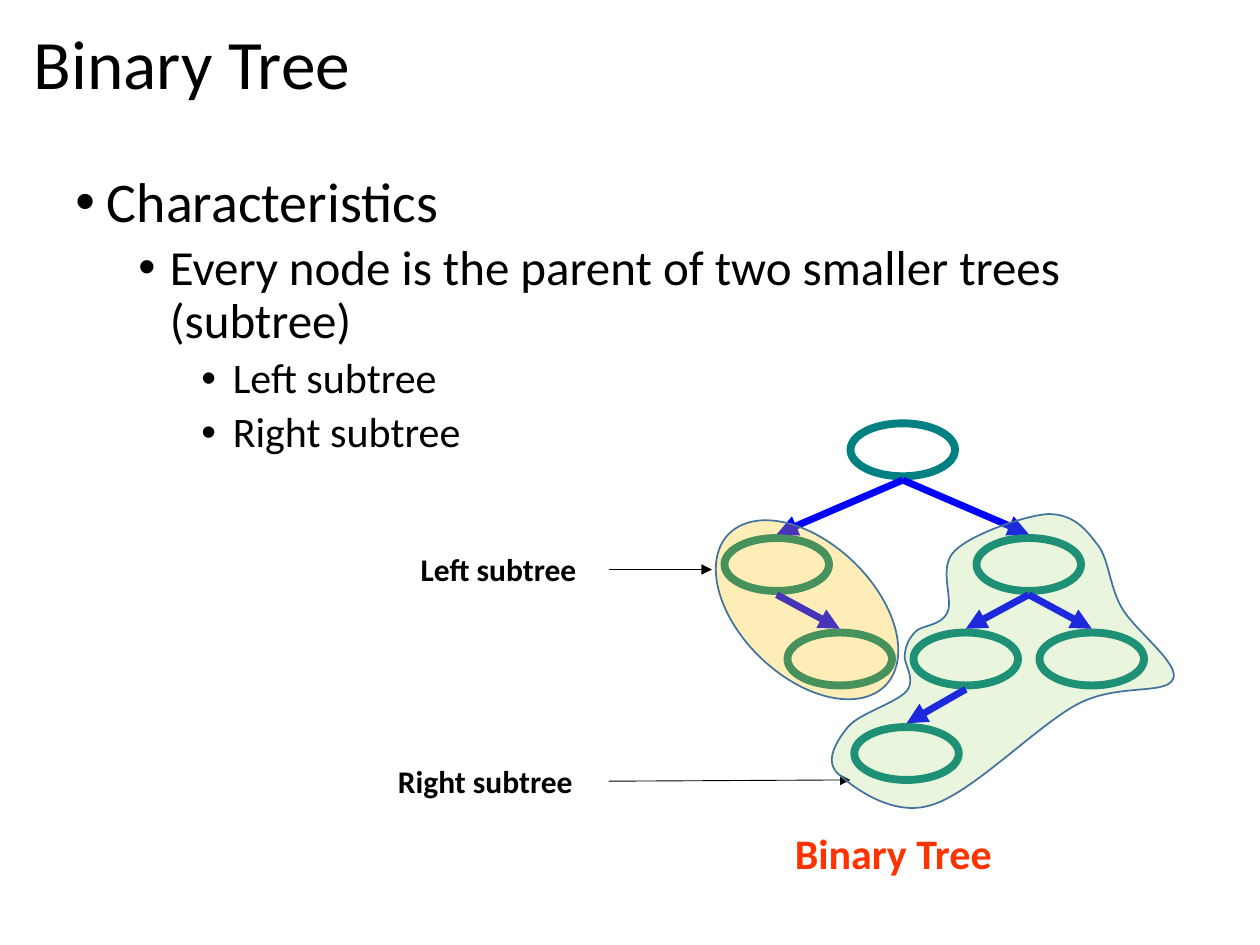
from dataclasses import dataclass
from typing import Any, Optional

import pptx
import pptx.dml.color
import pptx.enum.shapes
import pptx.enum.text
import pptx.oxml.ns
import pptx.util
from lxml import etree
from pptx.util import Inches

FONT = "Calibri"
BLACK, TEAL, BLUE, OUTLINE = "000000", "008080", "0000FF", "43739E"
NODE_WIDTH, NODE_HEIGHT = 0.83, 0.42

Point = tuple[float, float]
Box = tuple[float, float, float, float]


@dataclass(frozen=True)
class Node:
    left: float
    top: float
    parent: Optional[str] = None

    @property
    def center(self) -> float:
        return self.left + NODE_WIDTH / 2


@dataclass(frozen=True)
class Bullet:
    text: str
    level: int
    size: int
    space_before: int


@dataclass(frozen=True)
class Label:
    text: str
    box: Box
    size: float
    color: str = BLACK
    bold: bool = True
    wrap: bool = True
    line_spacing: Optional[float] = None
    anchor: Any = pptx.enum.text.MSO_ANCHOR.TOP
    auto_size: Any = pptx.enum.text.MSO_AUTO_SIZE.SHAPE_TO_FIT_TEXT


NODES = {
    "root": Node(6.75, 3.36),
    "left": Node(5.75, 4.27, "root"),
    "right": Node(7.75, 4.27, "root"),
    "left right": Node(6.25, 5.02, "left"),
    "right right": Node(8.25, 5.02, "right"),
    "right left": Node(7.25, 5.02, "right"),
    "right left left": Node(6.78, 5.77, "right left"),
}

BULLETS = [
    Bullet("Characteristics", 0, 32, 0),
    Bullet("Every node is the parent of two smaller trees (subtree)", 1, 28, 5),
    Bullet("Left subtree", 2, 24, 5),
    Bullet("Right subtree", 2, 24, 5),
]

TITLE = Label("Binary Tree", (0.17, 0.16, 9.62, 0.74), 39.6, bold=False,
              line_spacing=0.9, anchor=pptx.enum.text.MSO_ANCHOR.MIDDLE,
              auto_size=pptx.enum.text.MSO_AUTO_SIZE.NONE)
CAPTION = Label("Binary Tree", (6.21, 6.52, 2.04, 0.5), 24, color="FF3300", wrap=False)
SUBTREE_LABELS = [
    Label("Left subtree", (3.24, 4.32, 1.59, 0.4), 18),
    Label("Right subtree", (3.06, 6, 1.78, 0.4), 18),
]
LABEL_ARROWS = [((4.83, 6.2), (6.75, 6.19)), ((4.83, 4.52), (5.65, 4.52))]

RIGHT_REGION_BOX = (6.6, 4.08, 2.72, 2.33)
RIGHT_REGION_START = (8.32, 4.08)
# Two control points and an end point for each curve.
RIGHT_REGION_CURVES = [
    ((8.14, 4.09), (7.71, 4.24), (7.58, 4.37)),
    ((7.44, 4.5), (7.57, 4.75), (7.52, 4.86)),
    ((7.47, 4.97), (7.32, 4.96), (7.27, 5.01)),
    ((7.21, 5.07), (7.19, 5.12), (7.18, 5.2)),
    ((7.17, 5.27), (7.27, 5.38), (7.2, 5.48)),
    ((7.12, 5.58), (6.82, 5.66), (6.73, 5.77)),
    ((6.64, 5.88), (6.54, 6.04), (6.65, 6.14)),
    ((6.76, 6.24), (7.08, 6.49), (7.39, 6.39)),
    ((7.71, 6.3), (8.23, 5.76), (8.55, 5.59)),
    ((8.87, 5.42), (9.25, 5.52), (9.31, 5.39)),
    ((9.37, 5.27), (9, 5), (8.9, 4.82)),
    ((8.8, 4.64), (8.8, 4.42), (8.7, 4.31)),
    ((8.61, 4.19), (8.51, 4.08), (8.32, 4.08)),
]


def rgb(color: str) -> pptx.dml.color.RGBColor:
    return pptx.dml.color.RGBColor.from_string(color)


def add_element(parent: Any, tag: str, **attributes: str) -> Any:
    return etree.SubElement(parent, pptx.oxml.ns.qn(tag), attributes)


def set_attributes(target: Any, values: dict[str, Any]) -> None:
    for name, value in values.items():
        setattr(target, name, value)


def format_font(font: Any, size: float, color: str, bold: bool) -> None:
    set_attributes(font, {"name": FONT, "size": pptx.util.Pt(size), "bold": bold})
    font.color.rgb = rgb(color)


def format_line(line: Any, color: str, width: float) -> None:
    line.color.rgb = rgb(color)
    line.width = pptx.util.Pt(width)


def format_region(shape: Any, color: str, opacity: int) -> None:
    """Give a shape a see-through fill and the thin region outline."""
    shape.shadow.inherit = False
    shape.fill.solid()
    shape.fill.fore_color.rgb = rgb(color)
    color_element = shape.fill._xPr.find(".//" + pptx.oxml.ns.qn("a:srgbClr"))
    add_element(color_element, "a:alpha", val=str(opacity * 1000))
    format_line(shape.line, OUTLINE, 1)


def add_label(slide: Any, label: Label) -> None:
    frame = slide.shapes.add_textbox(*map(Inches, label.box)).text_frame
    set_attributes(frame, {"word_wrap": label.wrap, "vertical_anchor": label.anchor,
                           "auto_size": label.auto_size})
    paragraph = frame.paragraphs[0]
    set_attributes(paragraph, {"text": label.text, "line_spacing": label.line_spacing})
    format_font(paragraph.font, label.size, label.color, label.bold)


def add_bullets(slide: Any, bullets: list[Bullet]) -> None:
    box = slide.shapes.add_textbox(Inches(0.5), Inches(1.33), Inches(9), Inches(4.95))
    frame = box.text_frame
    frame.word_wrap = True
    for index, bullet in enumerate(bullets):
        paragraph = frame.add_paragraph() if index else frame.paragraphs[0]
        set_attributes(paragraph, {
            "text": bullet.text,
            "level": bullet.level,
            "line_spacing": 0.9,
            "space_before": pptx.util.Pt(bullet.space_before),
        })
        properties = paragraph._p.get_or_add_pPr()
        properties.set("marL", str(Inches(0.25 + 0.5 * bullet.level)))
        properties.set("indent", str(Inches(-0.25)))
        add_element(properties, "a:buFont", typeface="Arial")
        add_element(properties, "a:buChar", char="•")
        format_font(paragraph.font, bullet.size, BLACK, False)


def add_ellipse(slide: Any, box: Box) -> Any:
    return slide.shapes.add_shape(pptx.enum.shapes.MSO_SHAPE.OVAL, *map(Inches, box))


def add_node(slide: Any, node: Node) -> None:
    shape = add_ellipse(slide, (node.left, node.top, NODE_WIDTH, NODE_HEIGHT))
    shape.shadow.inherit = False
    shape.fill.background()
    format_line(shape.line, TEAL, 4.5)


def add_arrow(slide: Any, start: Point, end: Point, color: str, width: float) -> None:
    connector = slide.shapes.add_connector(pptx.enum.shapes.MSO_CONNECTOR.STRAIGHT,
                                           *map(Inches, start + end))
    format_line(connector.line, color, width)
    add_element(connector.line._get_or_add_ln(), "a:tailEnd", type="triangle")
    add_element(connector._element.spPr, "a:effectLst")


def add_right_region(slide: Any) -> None:
    """Draw the curved outline: a freeform whose segments become cubic curves."""
    left, top, width, height = RIGHT_REGION_BOX
    builder = slide.shapes.build_freeform(*map(Inches, RIGHT_REGION_START))
    builder.add_line_segments([tuple(map(Inches, curve[-1])) for curve in RIGHT_REGION_CURVES])
    shape = builder.convert_to_shape()
    set_attributes(shape, dict(zip(("left", "top", "width", "height"),
                                   map(Inches, RIGHT_REGION_BOX))))
    outline = shape._element.find(".//" + pptx.oxml.ns.qn("a:path"))
    outline.set("w", str(Inches(width)))
    outline.set("h", str(Inches(height)))
    for command in list(outline):
        outline.remove(command)
    commands = [("a:moveTo", (RIGHT_REGION_START,))]
    commands += [("a:cubicBezTo", curve) for curve in RIGHT_REGION_CURVES]
    for tag, points in commands:
        command = add_element(outline, tag)
        for x, y in points:
            add_element(command, "a:pt", x=str(Inches(x - left)), y=str(Inches(y - top)))
    add_element(outline, "a:close")
    format_region(shape, "92D050", 20)


def main() -> None:
    presentation = pptx.Presentation()
    set_attributes(presentation, {"slide_width": Inches(10), "slide_height": Inches(7.5)})
    slide = presentation.slides.add_slide(presentation.slide_layouts[6])
    add_label(slide, TITLE)
    add_bullets(slide, BULLETS)
    for node in NODES.values():
        add_node(slide, node)
    for node in NODES.values():
        if node.parent:
            parent = NODES[node.parent]
            add_arrow(slide, (parent.center, parent.top + NODE_HEIGHT + 0.03),
                      (node.center, node.top - 0.03), BLUE, 4)
    add_label(slide, CAPTION)
    left_region = add_ellipse(slide, (5.54, 4.31, 1.73, 1.06))
    left_region.rotation = 43.8
    format_region(left_region, "FFC000", 28)
    for label in SUBTREE_LABELS:
        add_label(slide, label)
    for start, end in LABEL_ARROWS:
        add_arrow(slide, start, end, BLACK, 0.5)
    add_right_region(slide)
    presentation.save("out.pptx")


if __name__ == "__main__":
    main()
